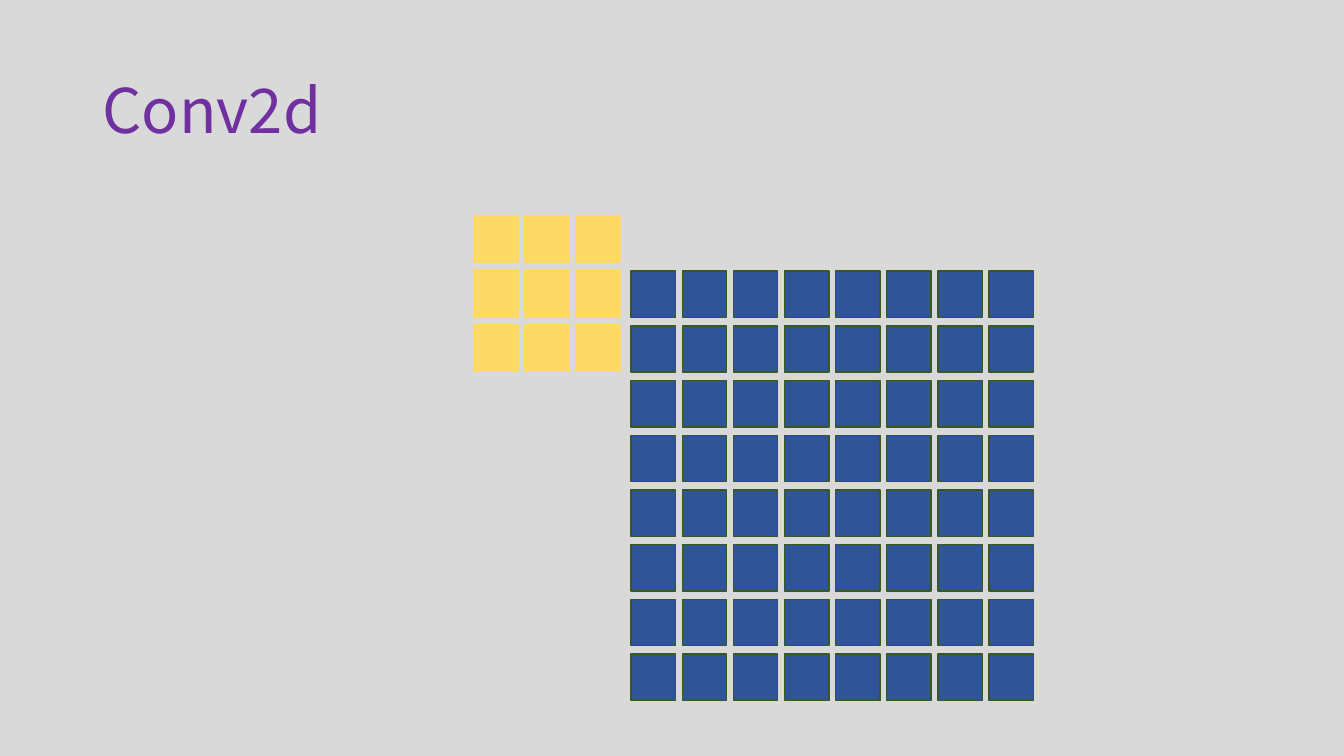
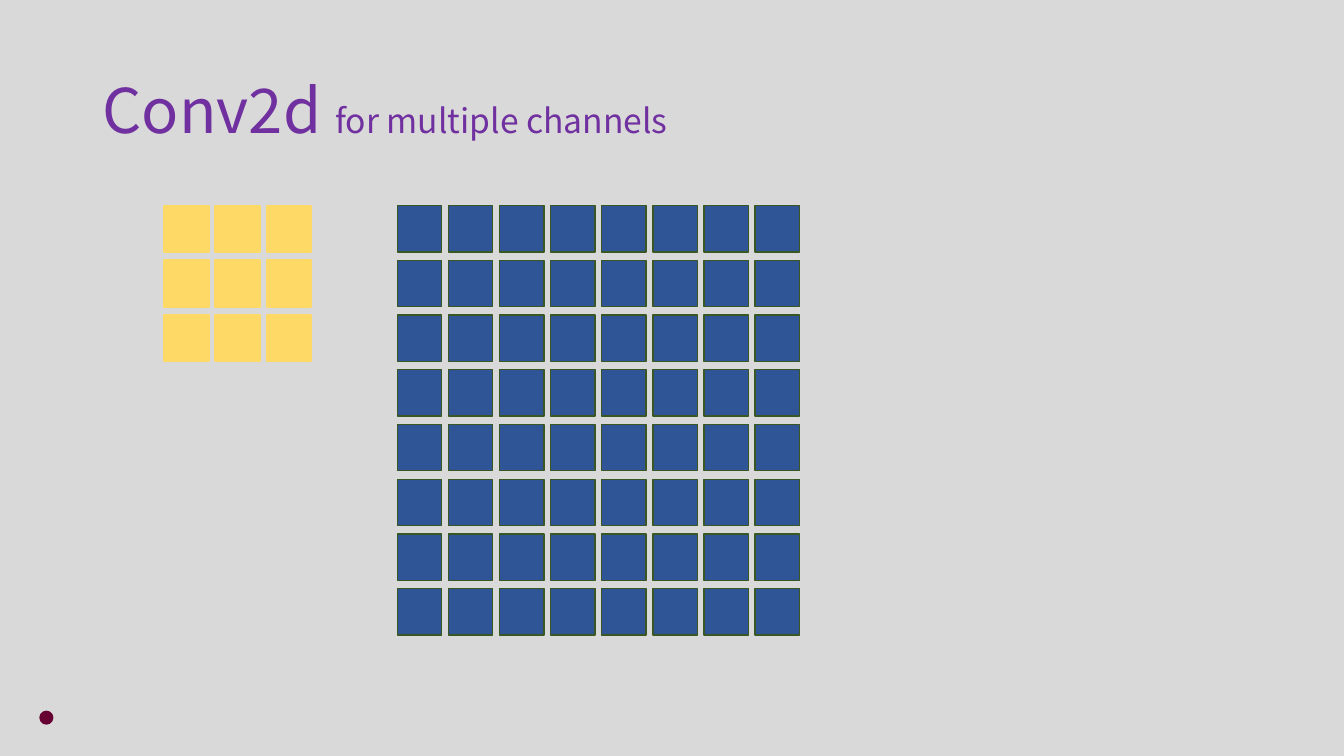
"""Build two slides on Conv2d: a 3 by 3 kernel beside an 8 by 8 input."""
from dataclasses import dataclass

from pptx import Presentation
from pptx import util as u
from pptx.dml.color import RGBColor
from pptx.enum import shapes, text


@dataclass(frozen=True)
class Theme:
    background: str = "D9D9D9"
    title: str = "7030A0"
    kernel: str = "FFD966"
    pixel: str = "2F5597"
    pixel_line: str = "385723"
    dot: str = "660033"
    font: str = "Noto Sans CJK SC"
    title_size: int = 44
    subtitle_size: int = 24


THEME = Theme()
CELL_WIDTH, CELL_HEIGHT = 0.44, 0.46
INPUT_SIZE, KERNEL_SIZE = 8, 3
COLUMN_STEP = (3.99 - CELL_WIDTH) / (INPUT_SIZE - 1)
ROW_STEP = (4.26 - CELL_HEIGHT) / (INPUT_SIZE - 1)

SLIDES = [
    {
        "title": [("Conv2d", THEME.title_size)],
        "kernel": (4.7, 2.14),
        "input": (6.26, 2.69),
        "dot": None,
    },
    {
        "title": [
            ("Conv2d ", THEME.title_size),
            ("for multiple channels", THEME.subtitle_size),
        ],
        "kernel": (1.63, 2.04),
        "input": (3.94, 2.04),
        "dot": (0.39, 7.05, 0.14, 0.14),
    },
]


def add_filled_shape(slide, kind, box, fill, line=None, line_width=0):
    shape = slide.shapes.add_shape(kind, *map(u.Inches, box))
    shape.shadow.inherit = False
    shape.fill.solid()
    shape.fill.fore_color.rgb = RGBColor.from_string(fill)
    if line:
        shape.line.color.rgb = RGBColor.from_string(line)
        shape.line.width = u.Pt(line_width)
    else:
        shape.line.fill.background()


def add_grid(slide, corner, size, fill, line, line_width):
    left, top = corner
    for row in range(size):
        for column in range(size):
            box = (left + column * COLUMN_STEP, top + row * ROW_STEP,
                   CELL_WIDTH, CELL_HEIGHT)
            add_filled_shape(slide, shapes.MSO_SHAPE.RECTANGLE, box,
                             fill, line, line_width)


presentation = Presentation()
presentation.slide_width = u.Inches(13.33)
presentation.slide_height = u.Inches(7.5)
background = presentation.slide_master.background.fill
background.solid()
background.fore_color.rgb = RGBColor.from_string(THEME.background)

for content in SLIDES:
    slide = presentation.slides.add_slide(presentation.slide_layouts[6])

    title = slide.shapes.add_textbox(*map(u.Inches, (0.92, 0.4, 11.5, 1.45)))
    frame = title.text_frame
    frame_format = {"word_wrap": True, "vertical_anchor": text.MSO_ANCHOR.MIDDLE}
    for name, value in frame_format.items():
        setattr(frame, name, value)
    paragraph = frame.paragraphs[0]
    paragraph.line_spacing = 0.9
    for words, size in content["title"]:
        run = paragraph.add_run()
        run.text = words
        for name, value in {"name": THEME.font, "size": u.Pt(size)}.items():
            setattr(run.font, name, value)
        run.font.color.rgb = RGBColor.from_string(THEME.title)

    add_grid(slide, content["kernel"], KERNEL_SIZE, THEME.kernel, THEME.kernel, 1.5)
    add_grid(slide, content["input"], INPUT_SIZE, THEME.pixel, THEME.pixel_line, 1)
    if content["dot"]:
        add_filled_shape(slide, shapes.MSO_SHAPE.OVAL, content["dot"], THEME.dot)

presentation.save("out.pptx")
